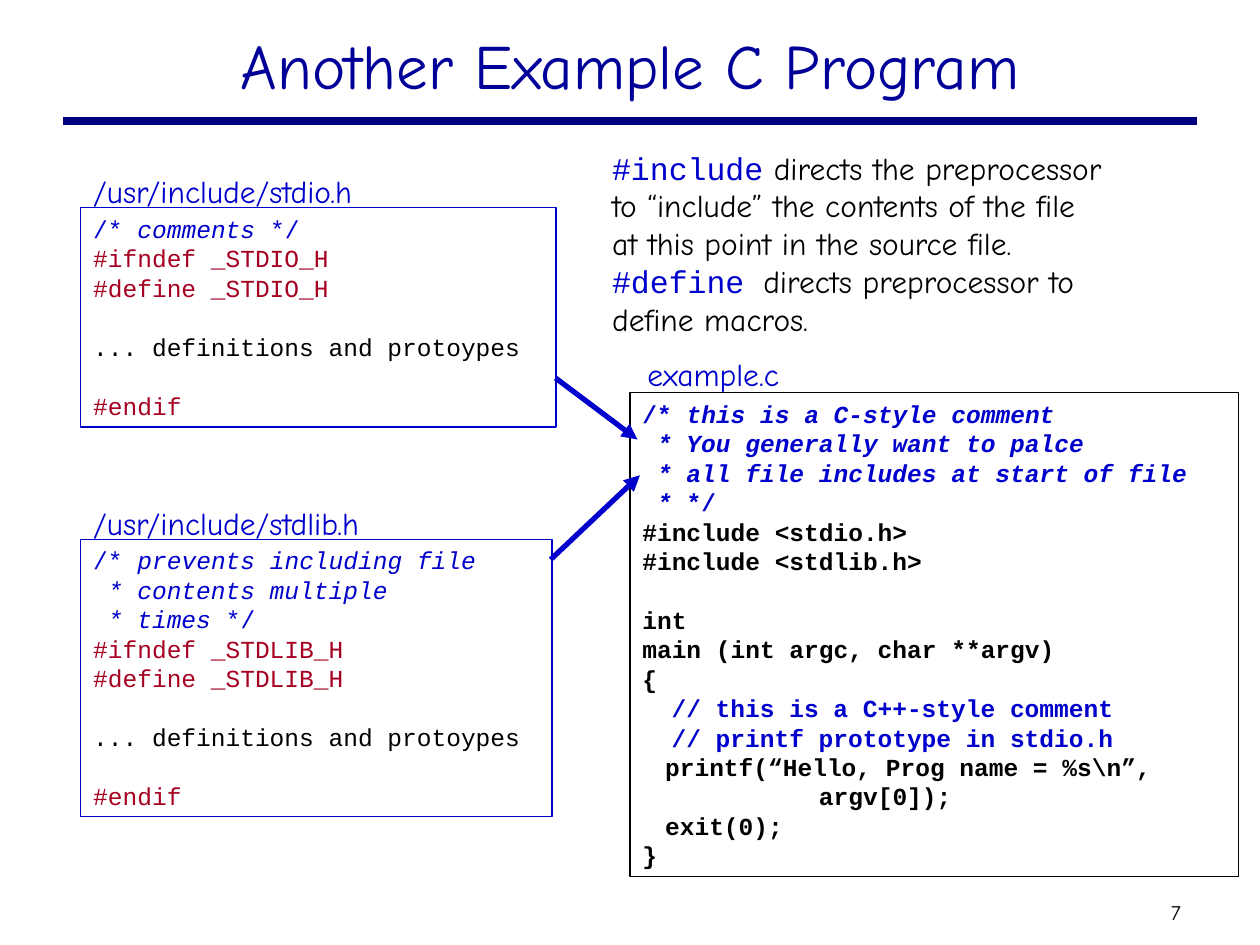
import dataclasses

import pptx
import pptx.dml.color
import pptx.enum.shapes
import pptx.enum.text
import pptx.oxml
import pptx.oxml.ns
import pptx.util

Cm = pptx.util.Cm
Pt = pptx.util.Pt
RGB = pptx.dml.color.RGBColor
ALIGN = pptx.enum.text.PP_ALIGN
ANCHOR = pptx.enum.text.MSO_ANCHOR

NAVY = RGB(0x00, 0x00, 0x80)
INDIGO = RGB(0x00, 0x00, 0x99)
BLUE = RGB(0x00, 0x00, 0xCC)
RED = RGB(0xA5, 0x00, 0x21)
BLACK = RGB(0x00, 0x00, 0x00)

COMIC = "Comic Neue"
MONO = "Courier New"
CODE = 14
ROW = 16.8
LEFT = 1.63


@dataclasses.dataclass
class Run:
    """A piece of text that differs from the rest of its line."""
    text: str
    slant: bool = False
    face: str = None
    hue: RGB = None


@dataclasses.dataclass
class Line:
    """A line of text, with its colour, indent and blank rows above."""
    runs: object
    hue: RGB = BLACK
    slant: bool = False
    indent: float = 0
    skip: int = 0


def write(shape, lines, face, size, bold=False, align=ALIGN.LEFT, anchor=ANCHOR.TOP, wrap=True):
    """Fill a shape with styled lines."""
    frame = shape.text_frame
    frame.word_wrap = wrap
    frame.vertical_anchor = anchor
    for index, line in enumerate(lines):
        par = frame.add_paragraph() if index else frame.paragraphs[0]
        par.alignment = align
        par.font.size = Pt(size)
        par.font.bold = bold
        if line.skip:
            par.space_before = Pt(line.skip * ROW)
        if line.indent:
            par._p.get_or_add_pPr().set("marL", str(Cm(line.indent)))
        runs = [Run(line.runs, line.slant)] if isinstance(line.runs, str) else line.runs
        mixed = len(runs) > 1
        if not mixed:
            style(par.font, face, line.hue, line.slant)
        for part in runs:
            run = par.add_run()
            run.text = part.text
            if mixed:
                style(run.font, part.face or face, part.hue or line.hue, part.slant)


def style(font, face, hue, slant):
    """Set face, colour and slant of a font."""
    font.name = face
    font.color.rgb = hue
    font.italic = slant


def label(slide, box, lines, size=18, **rest):
    """Add a text box in the script face."""
    shape = slide.shapes.add_textbox(*map(Cm, box))
    write(shape, lines, COMIC, size, **rest)


def listing(slide, box, hue, lines, bold=False):
    """Add a framed block of code."""
    shape = slide.shapes.add_shape(pptx.enum.shapes.MSO_SHAPE.RECTANGLE, *map(Cm, box))
    shape.shadow.inherit = False
    shape.fill.background()
    shape.line.color.rgb = hue
    shape.line.width = Pt(0.75)
    write(shape, lines, MONO, CODE, bold)


def stroke(slide, ends, hue, width, arrow=False):
    """Add a straight line, with an arrowhead if asked."""
    link = slide.shapes.add_connector(pptx.enum.shapes.MSO_CONNECTOR.STRAIGHT, *map(Cm, ends))
    link.line.color.rgb = hue
    link.line.width = Pt(width)
    if arrow:
        tail = pptx.oxml.parse_xml(f'<a:tailEnd {pptx.oxml.ns.nsdecls("a")} type="triangle"/>')
        link.line._get_or_add_ln().append(tail)
    link._element.spPr.append(pptx.oxml.parse_xml(f'<a:effectLst {pptx.oxml.ns.nsdecls("a")}/>'))


def header(slide, name, top, width, height, notes):
    """Add a header file: its name above its guarded code."""
    guard = f"_{name.upper()}_H"
    lines = notes + [
        Line(f"#ifndef {guard}", RED),
        Line(f"#define {guard}", RED),
        Line("... definitions and protoypes", skip=1),
        Line("#endif", RED, skip=1),
    ]
    listing(slide, (LEFT, top, width, height), BLUE, lines)
    label(slide, (LEFT, top - 0.84, 8.5, 1.02), [Line(f"/usr/include/{name}.h", BLUE)])


def main():
    """Build the slide and save it."""
    deck = pptx.Presentation()
    deck.slide_width, deck.slide_height = Cm(25.4), Cm(19.05)
    slide = deck.slides.add_slide(deck.slide_layouts[6])

    stroke(slide, (1.27, 2.44, 24.13, 2.44), NAVY, 4.5)
    label(slide, (23.11, 18.01, 1.19, 0.76), [Line("7")], 12,
          align=ALIGN.CENTER, anchor=ANCHOR.MIDDLE, wrap=False)
    label(slide, (1.9, 0.2, 21.6, 2.18), [Line("Another Example C Program", INDIGO)], 36,
          align=ALIGN.CENTER, anchor=ANCHOR.MIDDLE)

    label(slide, (12.8, 7.04, 3.18, 1.02), [Line("example.c", BLUE)], wrap=False)
    listing(slide, (12.7, 7.92, 12.27, 9.75), BLACK, [
        Line([Run("/* "), Run("this is a C-style comment", True)], BLUE),
        Line(" * You generally want to palce", BLUE, True),
        Line(" * all file includes at start of file", BLUE, True),
        Line([Run(" * ", True), Run("*/")], BLUE),
        Line("#include <stdio.h>"),
        Line("#include <stdlib.h>"),
        Line("int", skip=1),
        Line("main (int argc, char **argv)"),
        Line("{"),
        Line("// this is a C++-style comment", BLUE, indent=0.59),
        Line("// printf prototype in stdio.h", BLUE, indent=0.59),
        Line("printf(“Hello, Prog name = %s\\n”,", indent=0.46),
        Line("argv[0]);", indent=3.56),
        Line("exit(0);", indent=0.46),
        Line("}"),
    ], bold=True)

    header(slide, "stdio", 4.19, 9.58, 4.42, [
        Line([Run("/* "), Run("comments", True), Run(" */")], BLUE),
    ])
    header(slide, "stdlib", 10.87, 9.5, 5.59, [
        Line([Run("/* "), Run("prevents including file", True)], BLUE),
        Line(" * contents multiple", BLUE, True),
        Line([Run(" * times", True), Run(" */")], BLUE),
    ])

    for ends in ((11.2, 7.62, 12.85, 8.86), (11.1, 11.28, 12.9, 9.58)):
        stroke(slide, ends, BLUE, 3, arrow=True)

    label(slide, (12.09, 2.87, 11.48, 4.06), [
        Line([Run("#include", face=MONO, hue=BLUE), Run(" directs the preprocessor")]),
        Line("to “include” the contents of the file"),
        Line("at this point in the source file."),
        Line([Run("#define ", face=MONO, hue=BLUE),
              Run("directs preprocessor to define macros.")]),
    ])
    deck.save("out.pptx")


if __name__ == "__main__":
    main()
